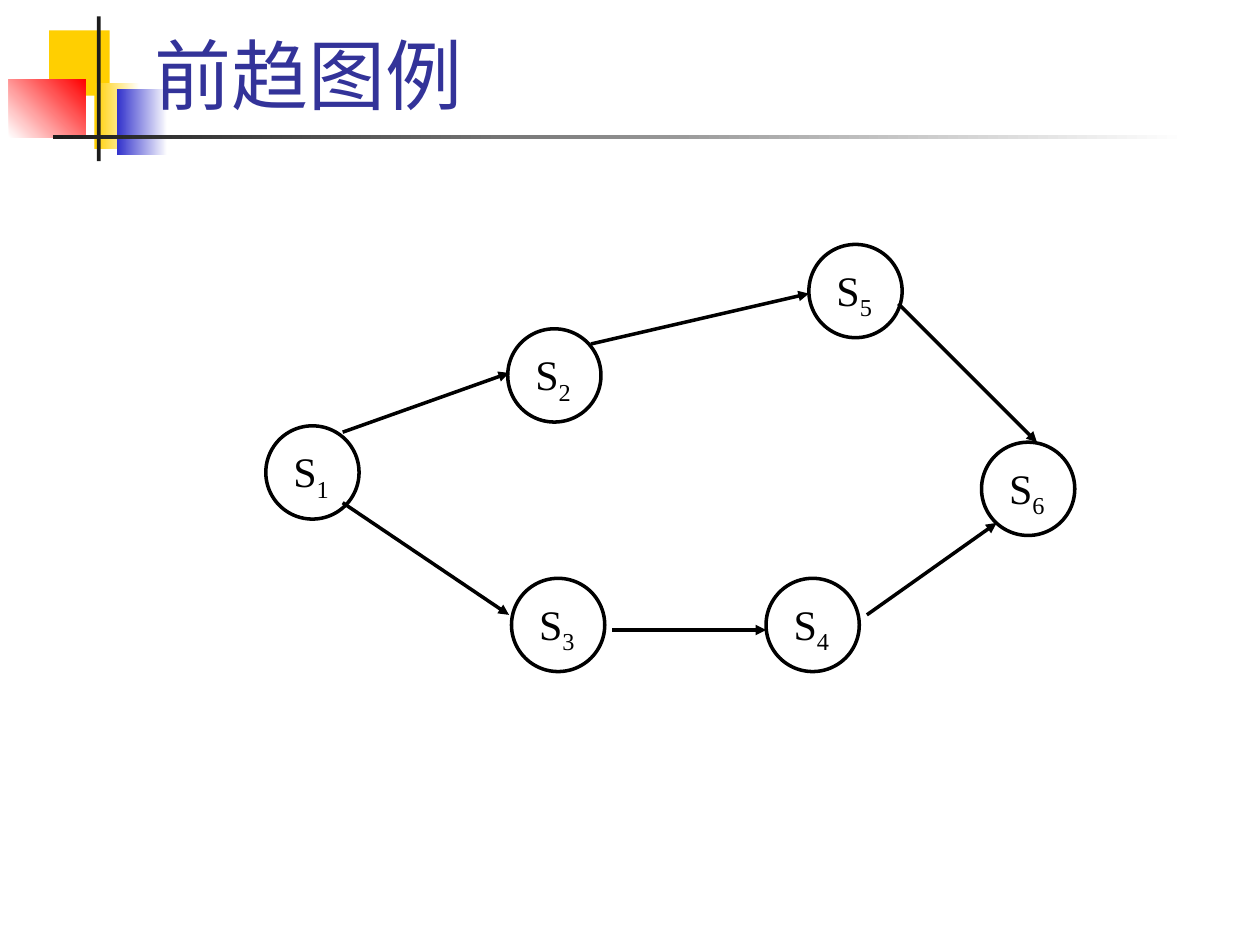
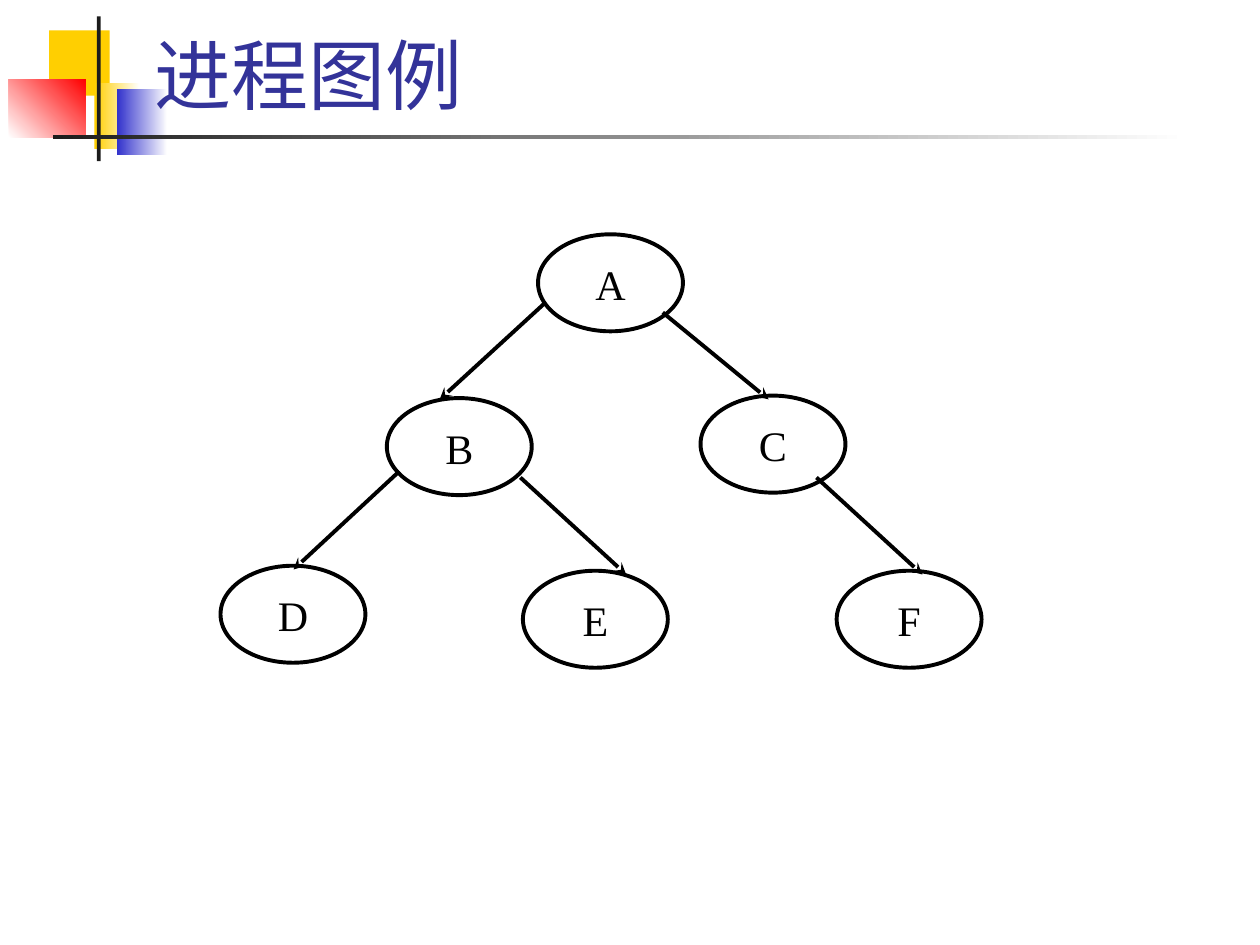
from lxml import etree
from pptx import Presentation
from pptx.dml.color import RGBColor
from pptx.enum.shapes import MSO_CONNECTOR, MSO_SHAPE
from pptx.enum.text import MSO_ANCHOR, PP_ALIGN
from pptx.oxml.ns import qn
from pptx.util import Inches, Pt

RECT, OVAL = MSO_SHAPE.RECTANGLE, MSO_SHAPE.OVAL
LINE = MSO_CONNECTOR.STRAIGHT
TOP, BOTTOM = MSO_ANCHOR.TOP, MSO_ANCHOR.BOTTOM
LEFT, CENTER = PP_ALIGN.LEFT, PP_ALIGN.CENTER

COLORS = {
    "white": "FFFFFF", "black": "000000", "dark": "1C1C1C",
    "gold": "FFCF01", "blue": "3333CC", "red": "FF0000", "title": "333399",
}
SERIF = "Times New Roman"
BANDS = [
    ((0.39, 0.24, 0.48, 0.52), ("gold",), 0),
    ((0.75, 0.66, 0.36, 0.52), ("gold", "white"), 0),
    ((0.93, 0.71, 0.4, 0.52), ("blue", "white"), 0),
    ((0.07, 0.63, 0.61, 0.46), ("white", "red"), 45),
    ((0.77, 0.13, 0.03, 1.15), ("dark",), 0),
    ((0.42, 1.07, 9, 0.03), ("dark", "white"), 0),
]
STEP = {"size": (0.74, 0.74), "inset": (0, 0.05, 0.02, 0.01),
        "width": 2, "space": 0.96, "head": "triangle"}
TREE = {"size": (1.15, 0.77), "inset": (0, 0.08, 0, 0),
        "width": 2.25, "space": 1.0, "head": "stealth"}

STEPS = {"S1": (2.11, 3.38), "S2": (4.03, 2.61), "S3": (4.06, 4.59),
         "S4": (6.08, 4.59), "S5": (6.42, 1.94), "S6": (7.79, 3.51)}
FLOWS = [
    (2.72, 3.99, 4.04, 4.88), (4.69, 2.73, 6.42, 2.33),
    (2.72, 3.43, 4.04, 2.96), (4.86, 5, 6.08, 5),
    (6.88, 4.88, 7.91, 4.15), (7.13, 2.41, 8.23, 3.51),
]
TASKS = {"A": (4.27, 1.86), "B": (3.07, 3.16), "C": (5.56, 3.14),
         "D": (1.75, 4.49), "E": (4.15, 4.53), "F": (6.64, 4.53)}
FORKS = [
    (4.33, 2.4, 3.49, 3.17), (5.26, 2.48, 6.1, 3.17),
    (3.17, 3.74, 2.33, 4.52), (4.13, 3.79, 4.97, 4.56),
    (6.48, 3.79, 7.32, 4.56),
]


def color(name):
    return RGBColor.from_string(COLORS[name])


def inches(values):
    return [Inches(value) for value in values]


class Deck:
    def __init__(self):
        self.prs = Presentation()
        self.prs.slide_width, self.prs.slide_height = inches((10, 7.5))
        self.slide = None
        self.style = None

    def page(self, title, face, style):
        self.slide = self.prs.slides.add_slide(self.prs.slide_layouts[6])
        self.style = style
        for box, tones, angle in BANDS:
            self.band(box, tones, angle)
        self.title(title, face)

    def shape(self, kind, box):
        shape = self.slide.shapes.add_shape(kind, *inches(box))
        shape.shadow.inherit = False
        return shape

    def band(self, box, tones, angle):
        band = self.shape(RECT, box)
        band.line.fill.background()
        if len(tones) == 1:
            band.fill.solid()
            band.fill.fore_color.rgb = color(tones[0])
            return
        band.fill.gradient()
        band.fill.gradient_angle = angle
        for stop, tone, place in zip(band.fill.gradient_stops, tones, (0, 1)):
            stop.color.rgb = color(tone)
            stop.position = place

    def frame(self, shape, inset, anchor, align):
        frame = shape.text_frame
        sides = ("left", "top", "right", "bottom")
        form = {f"margin_{side}": Inches(gap) for side, gap in zip(sides, inset)}
        form.update(word_wrap=True, vertical_anchor=anchor)
        for key, value in form.items():
            setattr(frame, key, value)
        para = frame.paragraphs[0]
        para.alignment = align
        return para

    def run(self, para, text, face, size, tone):
        run = para.add_run()
        run.text = text
        for key, value in {"name": face, "size": Pt(size)}.items():
            setattr(run.font, key, value)
        run.font.color.rgb = color(tone)
        return run

    def title(self, text, face):
        box = self.slide.shapes.add_textbox(*inches((1.13, 0.14, 8.52, 0.86)))
        para = self.frame(box, (0.1, 0.05, 0.1, 0.05), BOTTOM, LEFT)
        self.run(para, text, face, 44, "title")

    def node(self, label, spot):
        node = self.shape(OVAL, (*spot, *self.style["size"]))
        node.fill.solid()
        node.fill.fore_color.rgb = color("white")
        self.stroke(node.line)
        para = self.frame(node, self.style["inset"], TOP, CENTER)
        para.line_spacing = self.style["space"]
        self.run(para, label[0], SERIF, 24, "black")
        if label[1:]:
            low = self.run(para, label[1:], SERIF, 24, "black")
            low._r.get_or_add_rPr().set("baseline", "-25000")

    def stroke(self, line):
        line.color.rgb = color("black")
        line.width = Pt(self.style["width"])

    def arrow(self, ends):
        arrow = self.slide.shapes.add_connector(LINE, *inches(ends))
        self.stroke(arrow.line)
        props = arrow._element.spPr
        tail = etree.SubElement(props.find(qn("a:ln")), qn("a:tailEnd"))
        tail.set("type", self.style["head"])
        etree.SubElement(props, qn("a:effectLst"))

    def graph(self, nodes, arrows):
        for label, spot in nodes.items():
            self.node(label, spot)
        for ends in arrows:
            self.arrow(ends)


def main():
    deck = Deck()
    deck.page("前趋图例", "Roboto", STEP)
    deck.graph(STEPS, FLOWS)
    deck.page("进程图例", SERIF, TREE)
    deck.graph(TASKS, FORKS)
    deck.prs.save("out.pptx")


if __name__ == "__main__":
    main()
